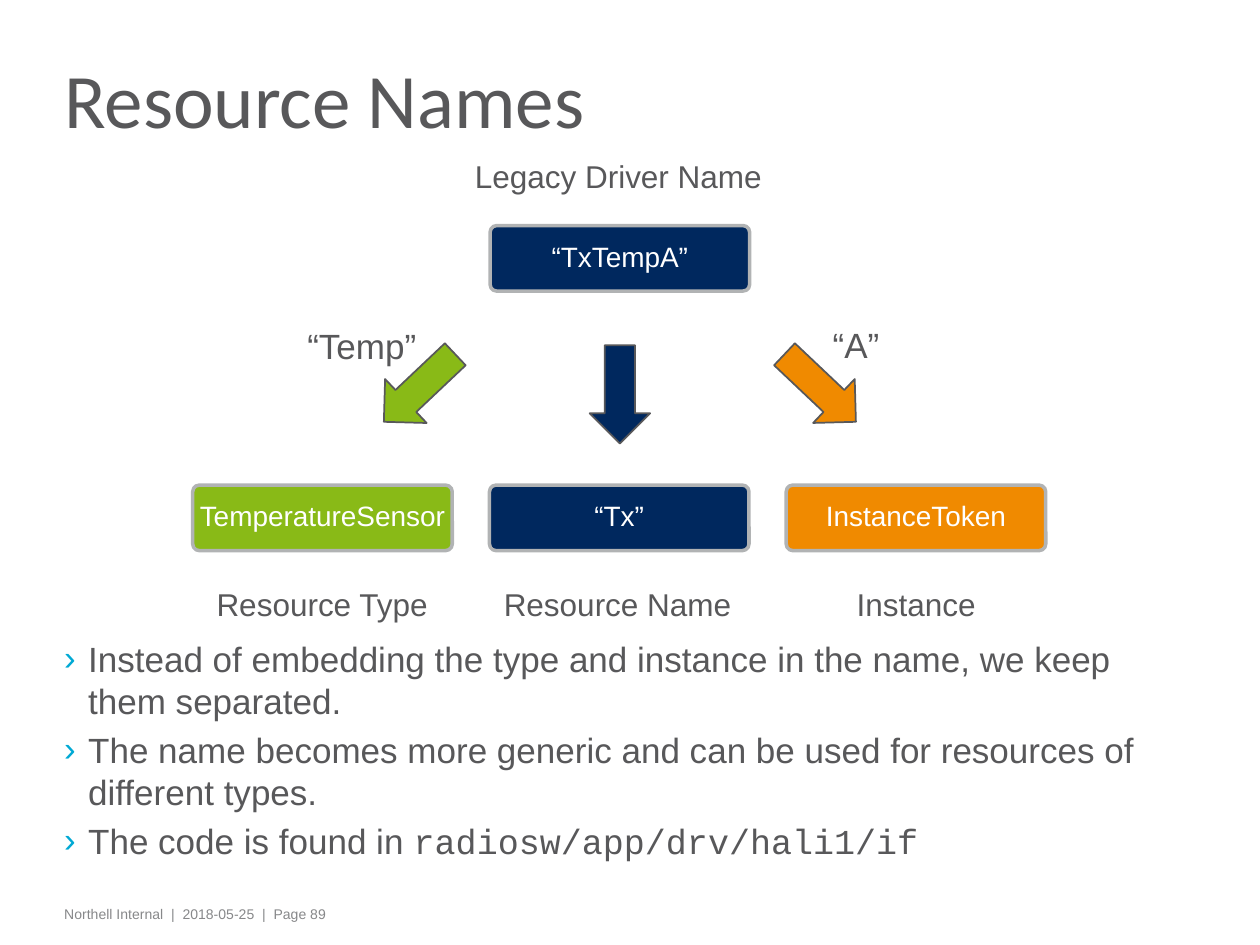
from lxml.etree import SubElement
from pptx import Presentation
from pptx.dml.color import RGBColor
from pptx.enum.shapes import MSO_SHAPE as Shape
from pptx.enum.text import MSO_ANCHOR as Anchor, PP_ALIGN as Align
from pptx.oxml.ns import qn
from pptx.util import Inches, Pt

NAVY, GREEN, ORANGE = "00285E", "89BA17", "F08A00"
GREY, WHITE, BORDER = "58585A", "FFFFFF", "B1B3B4"
BULLET_COLOR, FOOTER_COLOR = "00A9D4", "87888A"


def rgb(color):
    return RGBColor.from_string(color)


def set_frame(shape, margins=(0.1, 0.05), anchor=Anchor.TOP, wrap=True):
    """Set the side and top margins, anchor and wrapping of a shape's text."""
    frame = shape.text_frame
    frame.margin_left = frame.margin_right = Inches(margins[0])
    frame.margin_top = frame.margin_bottom = Inches(margins[1])
    frame.vertical_anchor = anchor
    frame.word_wrap = wrap
    return frame


def add_span(para, text, size=20, font="Arial", color=GREY):
    span = para.add_run()
    span.text = text
    span.font.size = Pt(size)
    span.font.name = font
    span.font.color.rgb = rgb(color)


def add_text(slide, text, left, top, width, height, margins=(0.1, 0.05), wrap=False, **style):
    box = slide.shapes.add_textbox(Inches(left), Inches(top), Inches(width), Inches(height))
    add_span(set_frame(box, margins, wrap=wrap).paragraphs[0], text, **style)


def add_filled(slide, kind, left, top, width, height, fill, line, line_width):
    shape = slide.shapes.add_shape(kind, Inches(left), Inches(top), Inches(width), Inches(height))
    shape.shadow.inherit = False
    shape.fill.solid()
    shape.fill.fore_color.rgb = rgb(fill)
    shape.line.color.rgb = rgb(line)
    shape.line.width = Pt(line_width)
    return shape


def add_name_box(slide, text, left, top, fill):
    box = add_filled(slide, Shape.ROUNDED_RECTANGLE, left, top, 2.06, 0.52, fill, BORDER, 2)
    box.adjustments[0] = 0.1
    para = set_frame(box, (0.04, 0.04), Anchor.MIDDLE).paragraphs[0]
    para.alignment = Align.CENTER
    para.line_spacing = 0.9
    add_span(para, text, size=16, color=WHITE)


def add_arrow(slide, left, top, fill, rotation):
    arrow = add_filled(slide, Shape.DOWN_ARROW, left, top, 0.48, 0.78, fill, GREY, 1)
    arrow.rotation = rotation


def set_title(slide, text):
    title = slide.shapes.title
    title.left, title.top = Inches(0.43), Inches(0.26)
    title.width, title.height = Inches(8.2), Inches(1.19)
    para = set_frame(title, (0.08, 0), Anchor.MIDDLE).paragraphs[0]
    para.alignment = Align.LEFT
    para.line_spacing = 0.75
    add_span(para, text, size=44, font="Calibri")


def set_bullet(para):
    properties = para._p.get_or_add_pPr()
    properties.set("marL", str(Inches(0.19)))
    properties.set("indent", str(-Inches(0.19)))
    color = SubElement(properties, qn("a:buClr"))
    SubElement(color, qn("a:srgbClr"), val=BULLET_COLOR)
    SubElement(properties, qn("a:buFont"), typeface="Arial")
    SubElement(properties, qn("a:buChar"), char="›")


def add_bullets(slide, items):
    """Add a bulleted list; each item is a list of (text, font) pairs."""
    box = slide.shapes.add_textbox(Inches(0.43), Inches(5.06), Inches(9.13), Inches(1.13))
    frame = set_frame(box, (0.08, 0))
    for index, spans in enumerate(items):
        para = frame.add_paragraph() if index else frame.paragraphs[0]
        set_bullet(para)
        if index:
            para.space_before = Pt(4)
        for text, font in spans:
            add_span(para, text, font=font)


def main():
    deck = Presentation()
    deck.slide_width, deck.slide_height = Inches(10), Inches(7.5)
    slide = deck.slides.add_slide(deck.slide_layouts[5])
    set_title(slide, "Resource Names")

    add_name_box(slide, "“TxTempA”", 3.89, 1.79, NAVY)
    parts = [("TemperatureSensor", GREEN), ("“Tx”", NAVY), ("InstanceToken", ORANGE)]
    for column, (text, fill) in enumerate(parts):
        add_name_box(slide, text, 1.53 + column * 2.355, 3.85, fill)

    add_arrow(slide, 4.68, 2.74, NAVY, 0)
    add_arrow(slide, 3.09, 2.69, GREEN, 46.6)
    add_arrow(slide, 6.27, 2.69, ORANGE, -46.6)

    captions = [
        ("Legacy Driver Name", 3.67, 1.2, 2.5),
        ("Resource Type", 1.62, 4.59, 1.89),
        ("Resource Name", 3.9, 4.59, 2.03),
        ("Instance", 6.7, 4.59, 1.16),
    ]
    for text, left, top, width in captions:
        add_text(slide, text, left, top, width, 0.4, size=18)
    add_text(slide, "“A”", 6.51, 2.52, 0.58, 0.44)
    add_text(slide, "“Temp”", 2.34, 2.53, 1.08, 0.44)

    add_bullets(slide, [
        [("Instead of embedding the type and instance in the name, we keep them separated.", "Arial")],
        [("The name becomes more generic and can be used for resources of different types.", "Arial")],
        [("The code is found in ", "Arial"), ("radiosw/app/drv/hali1/if", "Courier New")],
    ])
    add_text(slide, "Northell Internal  |  2018-05-25  |  Page 89", 0.43, 7.14, 8.09, 0.24,
             margins=(0.08, 0.05), wrap=True, size=8, color=FOOTER_COLOR)
    deck.save("out.pptx")


if __name__ == "__main__":
    main()
